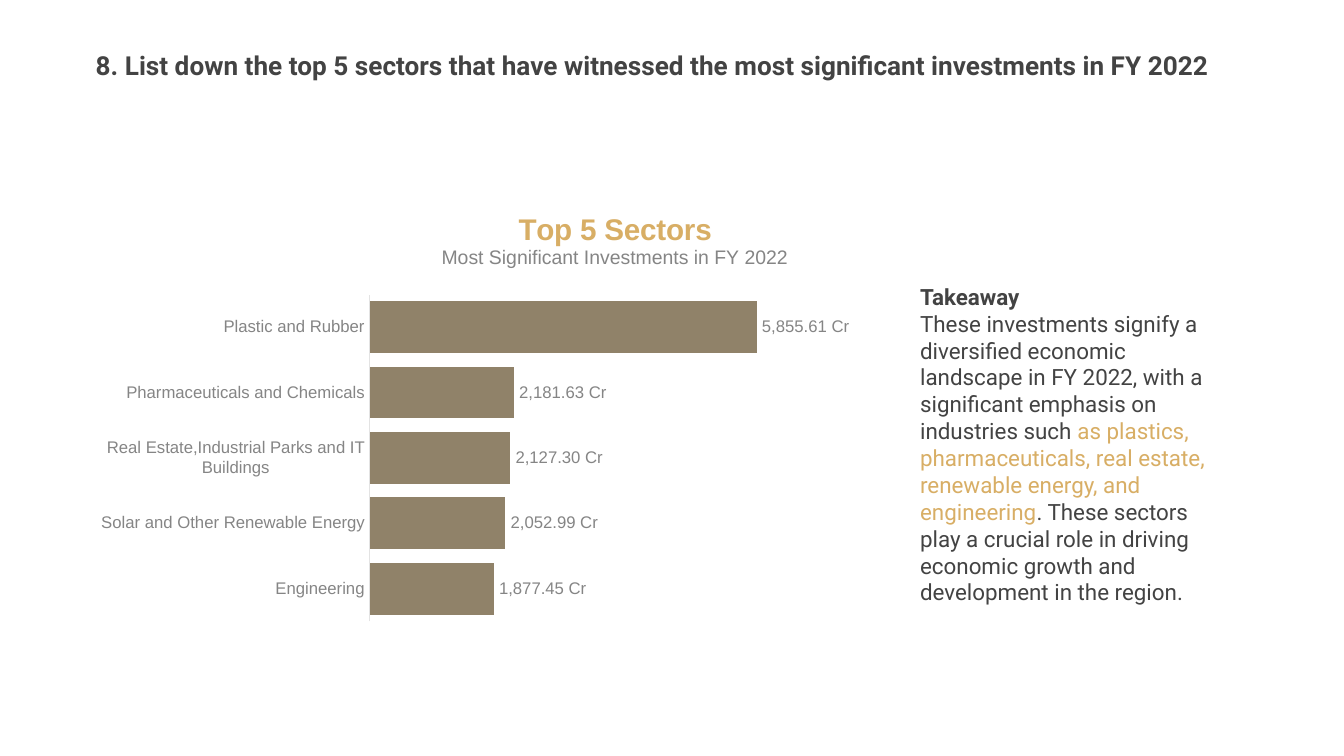
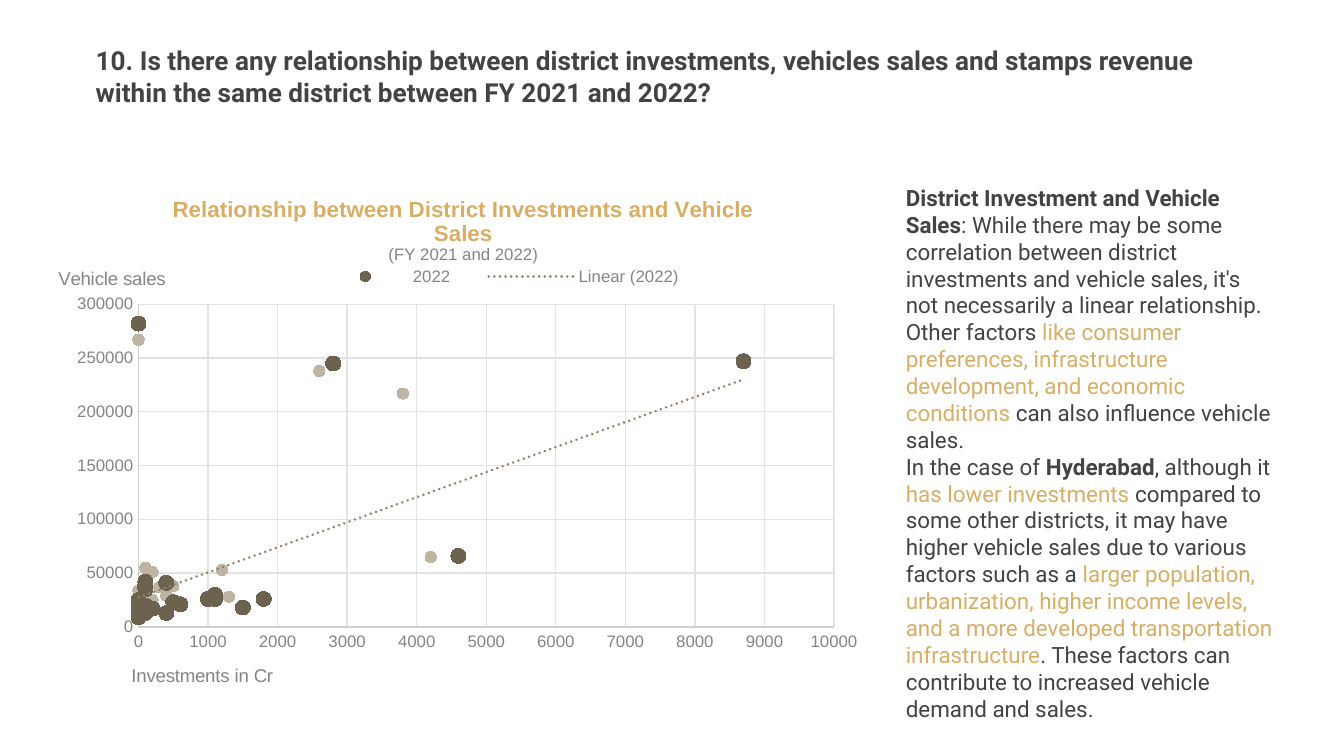
from lxml import etree
from pptx import Presentation
from pptx.chart.data import CategoryChartData, XyChartData
from pptx.dml.color import RGBColor
from pptx.enum.chart import XL_CHART_TYPE as ChartType, XL_LABEL_POSITION as LabelPos
from pptx.enum.chart import XL_LEGEND_POSITION as LegendPos, XL_MARKER_STYLE as Marker
from pptx.enum.chart import XL_TICK_MARK as Tick
from pptx.enum.text import MSO_AUTO_SIZE as AutoSize
from pptx.oxml import parse_xml
from pptx.oxml.ns import nsdecls, qn
from pptx.util import Cm, Pt

INK, GOLD, GREY = "434343", "D8AE65", "858585"
KHAKI, UMBER, SAND = "908269", "6C624F", "BDB4A4"
AXIS, GRID = "D0D0D0", "E3E3E3"
CRORE = r"#,##0.00\ \C\r"


def rgb(value):
    return RGBColor.from_string(value)


def style(font, size, color=GREY, bold=False, face="Arial"):
    font.name, font.size, font.bold = face, Pt(size), bold
    font.color.rgb = rgb(color)


def stroke(line, color, width=0.75):
    line.color.rgb = rgb(color)
    line.width = Pt(width)


def place(part, after, x, y, w=None, h=None, inner=False):
    """Give a chart part a manual layout, in fractions of the chart."""
    for old in part.findall(qn("c:layout")):
        part.remove(old)
    layout = etree.Element(qn("c:layout"))
    manual = etree.SubElement(layout, qn("c:manualLayout"))
    settings = [("layoutTarget", "inner")] if inner else []
    settings += [("xMode", "edge"), ("yMode", "edge"), ("x", x), ("y", y)]
    settings += [("w", w), ("h", h)] if w else []
    for tag, value in settings:
        etree.SubElement(manual, qn(f"c:{tag}")).set("val", str(value))
    if after:
        part.find(qn(after)).addnext(layout)
    else:
        part.insert(0, layout)


class Deck:
    def __init__(self):
        self.prs = Presentation()
        self.prs.slide_width, self.prs.slide_height = Cm(25.4), Cm(14.29)
        self.slide = None

    def new_slide(self, question, top):
        self.slide = self.prs.slides.add_slide(self.prs.slide_layouts[6])
        frame = self.text_frame(1.56, top, 22.28, 1.45)
        frame.auto_size = AutoSize.SHAPE_TO_FIT_TEXT
        heading = frame.paragraphs[0]
        heading.text = question
        style(heading.font, 14, INK, True, "Roboto")

    def text_frame(self, x, y, w, h):
        frame = self.slide.shapes.add_textbox(Cm(x), Cm(y), Cm(w), Cm(h)).text_frame
        frame.word_wrap = True
        return frame

    def commentary(self, x, y, w, h, paragraphs):
        """Each paragraph is a list of (text, kind); kind is "", "bold" or "gold"."""
        frame = self.text_frame(x, y, w, h)
        frame.margin_top = frame.margin_bottom = Cm(0.25)
        for i, pieces in enumerate(paragraphs):
            para = frame.add_paragraph() if i else frame.paragraphs[0]
            for text, kind in pieces:
                run = para.add_run()
                run.text = text
                style(run.font, 12, GOLD if kind == "gold" else INK, kind == "bold", "Roboto")

    def chart(self, kind, x, y, w, h, data, plot_box):
        chart = self.slide.shapes.add_chart(kind, Cm(x), Cm(y), Cm(w), Cm(h), data).chart
        style(chart.font, 10, INK)
        chart.has_legend = False
        chart.plots[0].vary_by_categories = False
        place(chart._chartSpace.chart.plotArea, None, *plot_box, inner=True)
        return chart

    def chart_title(self, chart, title, size, subtitle, sub_size, x, y):
        chart.has_title = True
        frame = chart.chart_title.text_frame
        frame.text = title
        style(frame.paragraphs[0].font, size, GOLD, True)
        second = frame.add_paragraph()
        second.text = subtitle
        style(second.font, sub_size)
        place(chart.chart_title._element, "c:tx", x, y)

    def axis(self, axis, line, maximum=None, step=None):
        axis.major_tick_mark = axis.minor_tick_mark = Tick.NONE
        axis.has_major_gridlines = bool(step)
        style(axis.tick_labels.font, 9)
        stroke(axis.format.line, line)
        if step:
            axis.minimum_scale, axis.maximum_scale, axis.major_unit = 0, maximum, step
            stroke(axis.major_gridlines.format.line, GRID)

    def axis_title(self, axis, text, x, y):
        frame = axis.axis_title.text_frame
        frame.text = text
        style(frame.paragraphs[0].font, 10)
        frame._txBody.bodyPr.set("rot", "0")
        place(axis.axis_title._element, "c:tx", x, y)

    def drop_missing(self, series):
        """Leave a gap where a district has no value."""
        for point in list(series._element.iter(qn("c:pt"))):
            if point.findtext(qn("c:v")) == "None":
                point.getparent().remove(point)

    def trend_line(self, series, color):
        trend = parse_xml(
            f'<c:trendline {nsdecls("c", "a")}><c:spPr><a:ln w="19050" cap="rnd"><a:solidFill>'
            f'<a:srgbClr val="{color}"/></a:solidFill><a:prstDash val="sysDot"/></a:ln></c:spPr>'
            '<c:trendlineType val="linear"/><c:dispRSqr val="0"/><c:dispEq val="0"/></c:trendline>')
        series._element.find(qn("c:xVal")).addprevious(trend)

    def legend(self, chart, box, hidden_entry):
        chart.has_legend = True
        chart.legend.position = LegendPos.TOP
        chart.legend.include_in_layout = False
        style(chart.legend.font, 9)
        legend = chart.legend._element
        place(legend, "c:legendPos", *box)
        legend.find(qn("c:legendPos")).addnext(parse_xml(
            f'<c:legendEntry {nsdecls("c")}><c:idx val="{hidden_entry}"/>'
            '<c:delete val="1"/></c:legendEntry>'))


def sectors_slide(deck):
    deck.new_slide("8. List down the top 5 sectors that have witnessed the most "
                   "significant investments in FY 2022", 0.81)
    sectors = {
        "Engineering": 1877.45,
        "Solar and Other Renewable Energy": 2052.99,
        "Real Estate,Industrial Parks and IT Buildings": 2127.30,
        "Pharmaceuticals and Chemicals": 2181.63,
        "Plastic and Rubber": 5855.61,
    }
    data = CategoryChartData(number_format=CRORE)
    data.categories = list(sectors)
    data.add_series("Series 1", list(sectors.values()))
    chart = deck.chart(ChartType.BAR_CLUSTERED, 1.19, 3.67, 14.86, 8.51, data,
                       (0.393, 0.223, 0.593, 0.726))
    deck.chart_title(chart, "Top 5 Sectors", 16,
                     "Most Significant Investments in FY 2022", 10.5, 0.48, 0.03)
    deck.axis(chart.category_axis, GRID)
    amounts = chart.value_axis
    amounts.visible = amounts.has_major_gridlines = False
    amounts.minimum_scale, amounts.maximum_scale = 0, 7000

    # Bars and their labels
    bars = chart.plots[0]
    bars.gap_width = 26
    fill = bars.series[0].format.fill
    fill.solid()
    fill.fore_color.rgb = rgb(KHAKI)
    labels = bars.series[0].data_labels
    labels.show_value = True
    labels.position = LabelPos.OUTSIDE_END
    labels.number_format, labels.number_format_is_linked = CRORE, False
    style(labels.font, 9)

    deck.commentary(17.14, 5.1, 6.3, 5.41, [
        [("Takeaway", "bold")],
        [("These investments signify a diversified economic landscape in FY 2022, with a "
          "significant emphasis on industries such ", ""),
         ("as plastics, pharmaceuticals, real estate, renewable energy, and engineering", "gold"),
         (". These sectors play a crucial role in driving economic growth and development "
          "in the region.", "")],
    ])


# Investments in Cr and vehicle sales in thousands, one pair per district
INVESTED_2022 = [500, 0, 400, 100, 1100, 1100, 4600, 8700, 0, 0, 100, 0, 100, 400, 100, 0, 2800,
                 1500, 200, 1800, 100, 0, 100, 100, 600, 100, 0, 100, 0, 0, 200, 1000, 0]
SOLD_2022 = [23, 25, 13, 35, 30, 26, 66, 247, 11, 15, 39, 15, None, 41, 20, None, 245,
             18, 17, 26, 16, 9, 42, 37, 21, 13, 14, 13, 18, 282, None, 26, 14]
INVESTED_2021 = [1300, 100, 0, 100, 300, 400, 4200, 3800, 0, 100, 100, 0, 1500, 1200, 200, 0, 2600,
                 600, 0, 500, 0, 0, 200, 100, 400, 0, 0, 0, 0, 0, 0, 0, 0]
SOLD_2021 = [28, 42, 16, 44, 37, 34, 65, 217, 17, 21, 55, 23, None, 53, 25, None, 238,
             23, 22, 38, 23, 12, 51, 35, 29, 17, 20, 17, 28, 267, None, 34, 19]


def relationship_slide(deck):
    deck.new_slide("10. Is there any relationship between district investments, vehicles sales "
                   "and stamps revenue within the same district between FY 2021 and 2022?", 0.72)
    deck.commentary(16.87, 3.23, 7.49, 7.29, [
        [("District Investment and Vehicle Sales", "bold"),
         (": While there may be some correlation between district investments and vehicle "
          "sales, it's not necessarily a linear relationship. Other factors ", ""),
         ("like consumer preferences, infrastructure development, and economic conditions",
          "gold"),
         (" can also influence vehicle sales.", "")],
        [("In the case of ", ""), ("Hyderabad", "bold"), (", although it ", ""),
         ("has lower investments ", "gold"),
         ("compared to some other districts, it may have higher vehicle sales due to various "
          "factors such as a ", ""),
         ("larger population, urbanization, higher income levels, and a more developed "
          "transportation infrastructure", "gold"),
         (". These factors can contribute to increased vehicle demand and sales.", "")],
    ])

    data = XyChartData(number_format="General")
    for year, invested, sold in (("2022", INVESTED_2022, SOLD_2022),
                                 ("2021", INVESTED_2021, SOLD_2021)):
        districts = data.add_series(year)
        for crore, thousands in zip(invested, sold):
            districts.add_data_point(crore, thousands and thousands * 1000)
    chart = deck.chart(ChartType.XY_SCATTER, 1.04, 3.23, 15.32, 9.86, data,
                       (0.103, 0.259, 0.858, 0.626))
    deck.chart_title(chart, "Relationship between District Investments and Vehicle Sales", 12,
                     "(FY 2021 and 2022)", 9, 0.14, 0.04)
    deck.axis(chart.category_axis, AXIS, 10000, 1000)
    deck.axis(chart.value_axis, AXIS, 300000, 50000)
    deck.axis_title(chart.category_axis, "Investments in Cr", 0.09, 0.95)
    deck.axis_title(chart.value_axis, "Vehicle sales", 0.0, 0.18)

    # Markers of the two years, with the trend of 2022
    years = chart.plots[0].series
    for series, color, size in zip(years, (UMBER, SAND), (8, 6)):
        deck.drop_missing(series)
        series.smooth = False
        series.format.line.fill.background()
        series.marker.style, series.marker.size = Marker.CIRCLE, size
        series.marker.format.fill.solid()
        series.marker.format.fill.fore_color.rgb = rgb(color)
        stroke(series.marker.format.line, color)
    deck.trend_line(years[0], KHAKI)
    deck.legend(chart, (0.29, 0.18, 0.52, 0.05), hidden_entry=1)


def main():
    deck = Deck()
    sectors_slide(deck)
    relationship_slide(deck)
    deck.prs.save("out.pptx")


if __name__ == "__main__":
    main()
